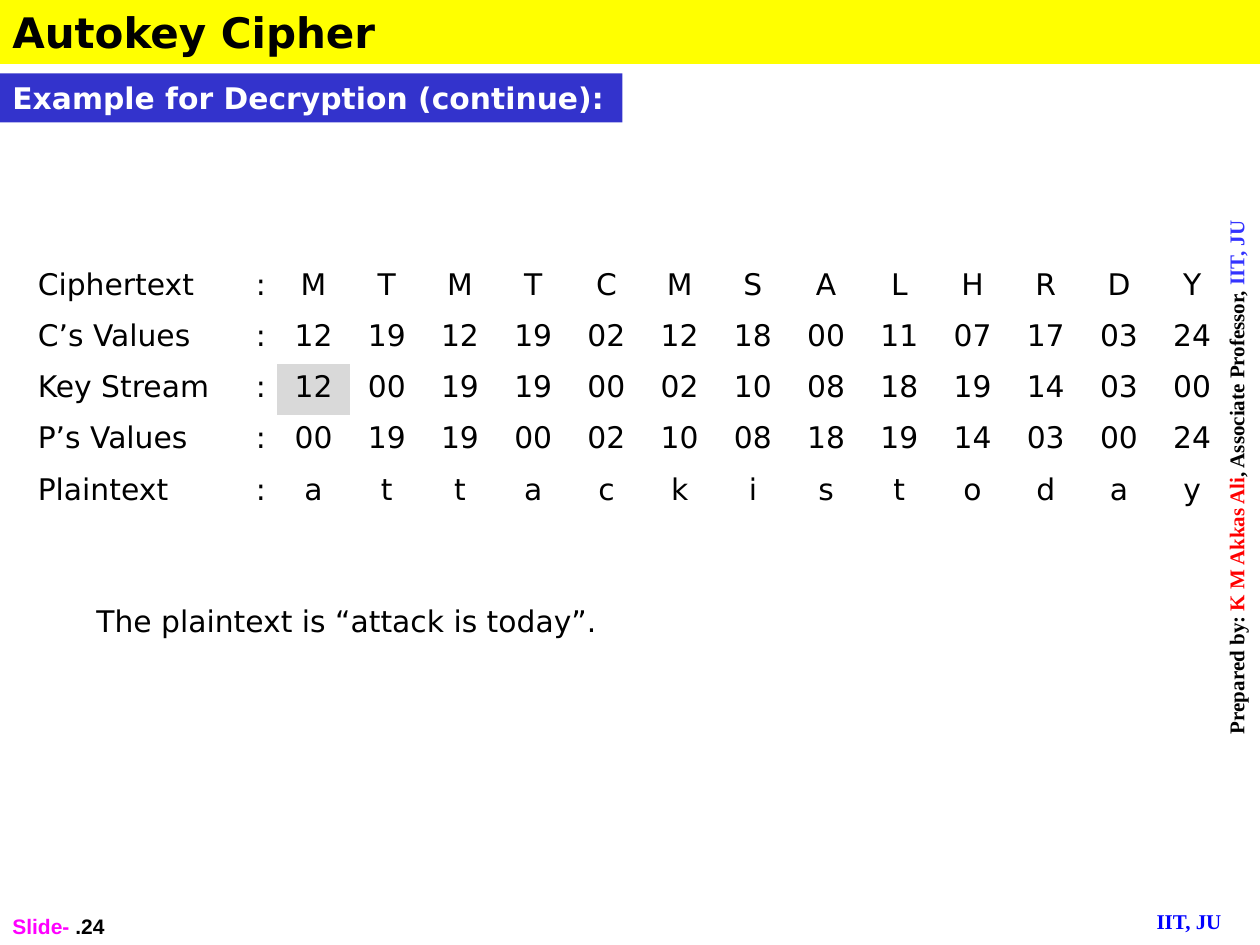
from dataclasses import dataclass

from pptx import Presentation
from pptx.dml.color import RGBColor
from pptx.enum.shapes import MSO_SHAPE
from pptx.enum.text import MSO_ANCHOR, PP_ALIGN
from pptx.oxml.ns import qn
from pptx.util import Pt


@dataclass(frozen=True)
class Theme:
    body_font: str = "DejaVu Sans"
    credit_font: str = "Times New Roman"
    number_font: str = "Arial"
    title_size: int = 24
    body_size: int = 17
    footer_size: int = 12
    black: str = "000000"
    white: str = "FFFFFF"
    yellow: str = "FFFF00"
    indigo: str = "3333CC"
    grey: str = "D9D9D9"
    red: str = "FF0000"
    blue: str = "0000FF"
    violet: str = "3333FF"
    magenta: str = "FF00FF"
    plain_table: str = "{2D5ABB26-0587-4C30-8999-92F81FD0307C}"


class SlideBuilder:
    def __init__(self, slide, theme):
        self.slide = slide
        self.theme = theme

    def add_runs(self, frame, runs, font, size, bold=False, align=PP_ALIGN.LEFT):
        """Fill the first paragraph with (text, colour) runs."""
        paragraph = frame.paragraphs[0]
        paragraph.alignment = align
        for text, color in runs:
            run = paragraph.add_run()
            run.text = text
            run.font.name = font
            run.font.size = Pt(size)
            run.font.bold = bold
            run.font.color.rgb = RGBColor.from_string(color)

    def text(self, box, runs, font, size, bold=False, align=PP_ALIGN.LEFT,
             anchor=MSO_ANCHOR.TOP, upward=False):
        frame = self.slide.shapes.add_textbox(*map(Pt, box)).text_frame
        frame.word_wrap = True
        frame.vertical_anchor = anchor
        if upward:
            frame._txBody.bodyPr.set("vert", "vert270")
        self.add_runs(frame, runs, font, size, bold, align)

    def banner(self, box, text, size, fill, color, wrap=True):
        bar = self.slide.shapes.add_shape(MSO_SHAPE.RECTANGLE, *map(Pt, box))
        bar.shadow.inherit = False
        bar.fill.solid()
        bar.fill.fore_color.rgb = RGBColor.from_string(fill)
        bar.line.fill.background()
        bar.text_frame.word_wrap = wrap
        bar.text_frame.vertical_anchor = MSO_ANCHOR.TOP
        self.add_runs(bar.text_frame, [(text, color)], self.theme.body_font, size, bold=True)

    def table(self, left, top, rows, widths, row_height, highlight):
        theme = self.theme
        grid = self.slide.shapes.add_table(
            len(rows), len(widths), Pt(left), Pt(top),
            Pt(sum(widths)), Pt(row_height * len(rows))).table
        grid.first_row = grid.horz_banding = False
        grid._tbl.tblPr.find(qn("a:tableStyleId")).text = theme.plain_table
        for column, width in zip(grid.columns, widths):
            column.width = Pt(width)
        for r, values in enumerate(rows):
            grid.rows[r].height = Pt(row_height)
            for c, value in enumerate(values):
                cell = grid.cell(r, c)
                if (r, c) == highlight:
                    cell.fill.solid()
                    cell.fill.fore_color.rgb = RGBColor.from_string(theme.grey)
                else:
                    cell.fill.background()
                align = PP_ALIGN.LEFT if c < 2 else PP_ALIGN.CENTER
                self.add_runs(cell.text_frame, [(value, theme.black)],
                              theme.body_font, theme.body_size, align=align)


CIPHER_STEPS = {
    "Ciphertext": "M T M T C M S A L H R D Y",
    "C’s Values": "12 19 12 19 02 12 18 00 11 07 17 03 24",
    "Key Stream": "12 00 19 19 00 02 10 08 18 19 14 03 00",
    "P’s Values": "00 19 19 00 02 10 08 18 19 14 03 00 24",
    "Plaintext": "a t t a c k i s t o d a y",
}


def main():
    theme = Theme()
    deck = Presentation()
    deck.slide_width, deck.slide_height = Pt(720), Pt(540)
    page = SlideBuilder(deck.slides.add_slide(deck.slide_layouts[6]), theme)

    # Institute and author credits
    page.text((653.8, 515.5, 66.2, 21.8), [("IIT, JU", theme.blue)],
              theme.credit_font, theme.footer_size, bold=True)
    credit = [("Prepared by: ", theme.black), ("K M Akkas Ali", theme.red),
              (", Associate Professor, ", theme.black), ("IIT, JU", theme.violet)]
    page.text((695.5, 23.8, 29, 498), credit, theme.credit_font, theme.footer_size,
              bold=True, align=PP_ALIGN.CENTER, upward=True)

    # Title and subtitle banners
    page.banner((0, 0, 720, 36.5), "Autokey Cipher", theme.title_size,
                theme.yellow, theme.black)
    page.banner((0, 42, 355.7, 28), "Example for Decryption (continue):",
                theme.body_size, theme.indigo, theme.white, wrap=False)

    # Decryption table, with the initial key marked
    rows = [[label, ":", *values.split()] for label, values in CIPHER_STEPS.items()]
    letter_count = len(rows[0]) - 2
    page.table(14.4, 149.5, rows, [124.6, 19.3] + [41.85] * letter_count, 29.2,
               highlight=(2, 2))

    # Conclusion
    page.text((48, 340.9, 630, 28), [("The plaintext is “attack is today”.", theme.black)],
              theme.body_font, theme.body_size, align=PP_ALIGN.JUSTIFY,
              anchor=MSO_ANCHOR.MIDDLE)

    # Slide number
    page.text((0, 504, 150, 36), [("Slide- ", theme.magenta), (".24", theme.black)],
              theme.number_font, theme.footer_size, bold=True, anchor=MSO_ANCHOR.BOTTOM)

    deck.save("out.pptx")


if __name__ == "__main__":
    main()
